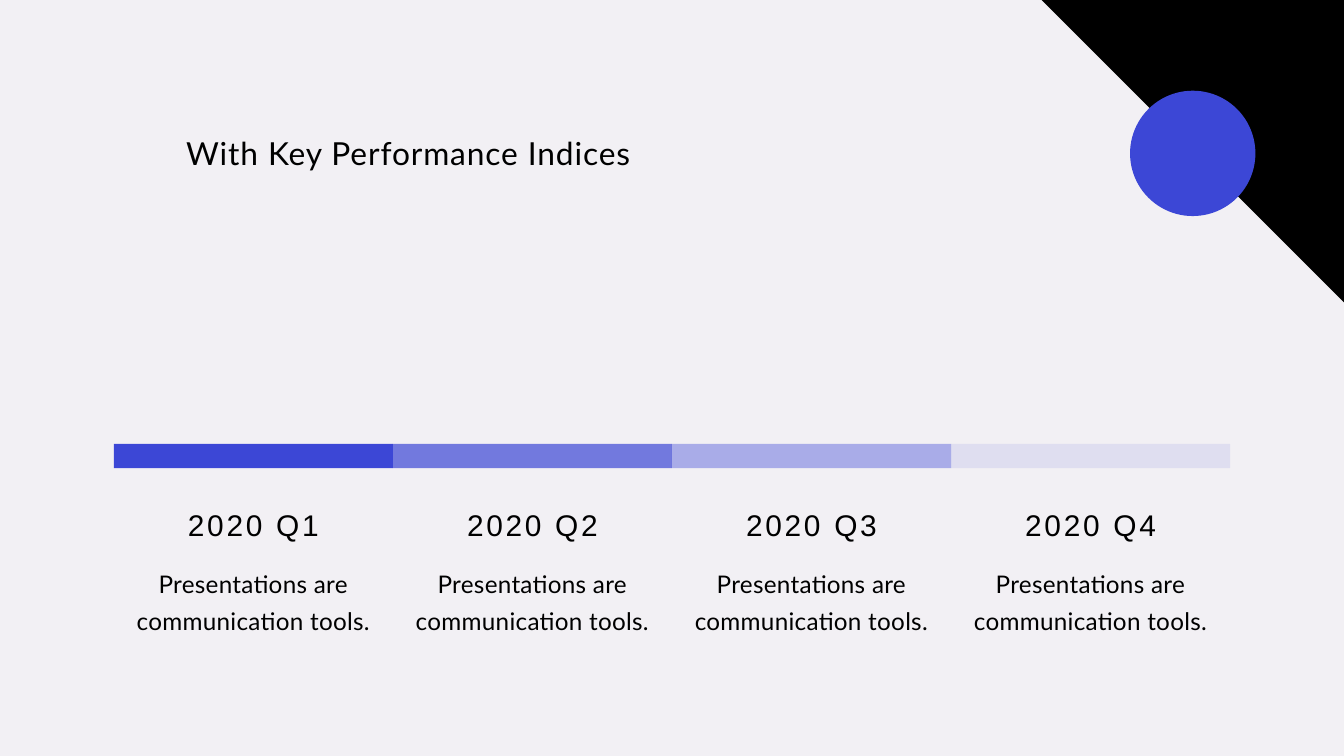
import dataclasses

import pptx
import pptx.dml.color
import pptx.enum.shapes
import pptx.enum.text
import pptx.oxml
import pptx.oxml.ns
import pptx.util

Pt = pptx.util.Pt
RGBColor = pptx.dml.color.RGBColor
MSO_SHAPE = pptx.enum.shapes.MSO_SHAPE
PP_ALIGN = pptx.enum.text.PP_ALIGN


@dataclasses.dataclass(frozen=True)
class TextStyle:
    """Type settings of one text role, in points."""
    font: str
    size: float
    leading: float
    tracking: float
    align: PP_ALIGN


class Theme:
    """Colours and type styles of the slide."""
    background = RGBColor.from_string("F2F0F4")
    accent = RGBColor.from_string("3C47D6")
    black = RGBColor.from_string("000000")
    title = TextStyle("Lato", 34, 44.2, 1, PP_ALIGN.LEFT)
    quarter = TextStyle("Arial", 32, 41.6, 2.9, PP_ALIGN.CENTER)
    description = TextStyle("Lato", 26, 39, 0.3, PP_ALIGN.CENTER)


def paint(sp, color, opacity=100):
    """Fill a shape with a colour at a percentage of opacity, without outline."""
    sp.shadow.inherit = False
    sp.line.fill.background()
    sp.fill.solid()
    sp.fill.fore_color.rgb = color
    if opacity < 100:
        clr = sp.fill._xPr.find(".//" + pptx.oxml.ns.qn("a:srgbClr"))
        alpha = pptx.oxml.parse_xml(
            f'<a:alpha {pptx.oxml.ns.nsdecls("a")} val="{opacity * 1000}"/>')
        clr.append(alpha)


def write(sp, text, style):
    """Put styled text into a text box or placeholder."""
    tf = sp.text_frame
    tf.text = text
    tf.word_wrap = True
    tf.auto_size = pptx.enum.text.MSO_AUTO_SIZE.NONE
    tf.vertical_anchor = pptx.enum.text.MSO_ANCHOR.TOP
    tf.margin_left = tf.margin_top = tf.margin_right = tf.margin_bottom = 0
    p = tf.paragraphs[0]
    p.alignment = style.align
    p.line_spacing = Pt(style.leading)
    r = p.runs[0]
    r.font.name = style.font
    r.font.size = Pt(style.size)
    r.font.color.rgb = Theme.black
    r._r.get_or_add_rPr().set("spc", str(round(style.tracking * 100)))


def add_title(s, text):
    """Place and fill the title placeholder."""
    sp = s.shapes.title
    sp.left, sp.top, sp.width, sp.height = Pt(199.4), Pt(140.4), Pt(539.3), Pt(44)
    write(sp, text, Theme.title)


def add_text(s, left, top, width, height, text, style):
    """Add a text box."""
    sp = s.shapes.add_textbox(Pt(left), Pt(top), Pt(width), Pt(height))
    write(sp, text, style)


def add_quarter(s, left, width, label, text, opacity):
    """Add one timeline segment with its label and description."""
    bar = s.shapes.add_shape(
        MSO_SHAPE.RECTANGLE, Pt(left), Pt(475.5), Pt(width), Pt(26))
    paint(bar, Theme.accent, opacity)
    inset = 19.2
    text_left, text_width = left + inset, width - 2 * inset
    add_text(s, text_left, 539.3, text_width, 40, label, Theme.quarter)
    add_text(s, text_left, 602.6, text_width, 74, text, Theme.description)


def add_corner(s, slide_width, size):
    """Add the black triangle in the top right corner and the circle on its edge."""
    right = Pt(slide_width)
    builder = s.shapes.build_freeform(Pt(slide_width - size), 0)
    builder.add_line_segments([(right, 0), (right, Pt(size))], close=True)
    paint(builder.convert_to_shape(), Theme.black)
    circle = s.shapes.add_shape(
        MSO_SHAPE.OVAL, Pt(1210.8), Pt(97.2), Pt(134.3), Pt(134.3))
    paint(circle, Theme.accent)


def main():
    """Build the quarterly timeline slide."""
    slide_width = 1440
    prs = pptx.Presentation()
    prs.slide_width, prs.slide_height = Pt(slide_width), Pt(810)
    s = prs.slides.add_slide(prs.slide_layouts.get_by_name("Title Only"))
    s.background.fill.solid()
    s.background.fill.fore_color.rgb = Theme.background

    add_title(s, "With Key Performance Indices")
    margin = 122
    opacities = (100, 70, 40, 10)
    width = (slide_width - 2 * margin) / len(opacities)
    for i, opacity in enumerate(opacities):
        add_quarter(s, margin + i * width, width, f"2020 Q{i + 1}",
                    "Presentations are communication tools.", opacity)
    add_corner(s, slide_width, 324)
    prs.save("out.pptx")


if __name__ == "__main__":
    main()
